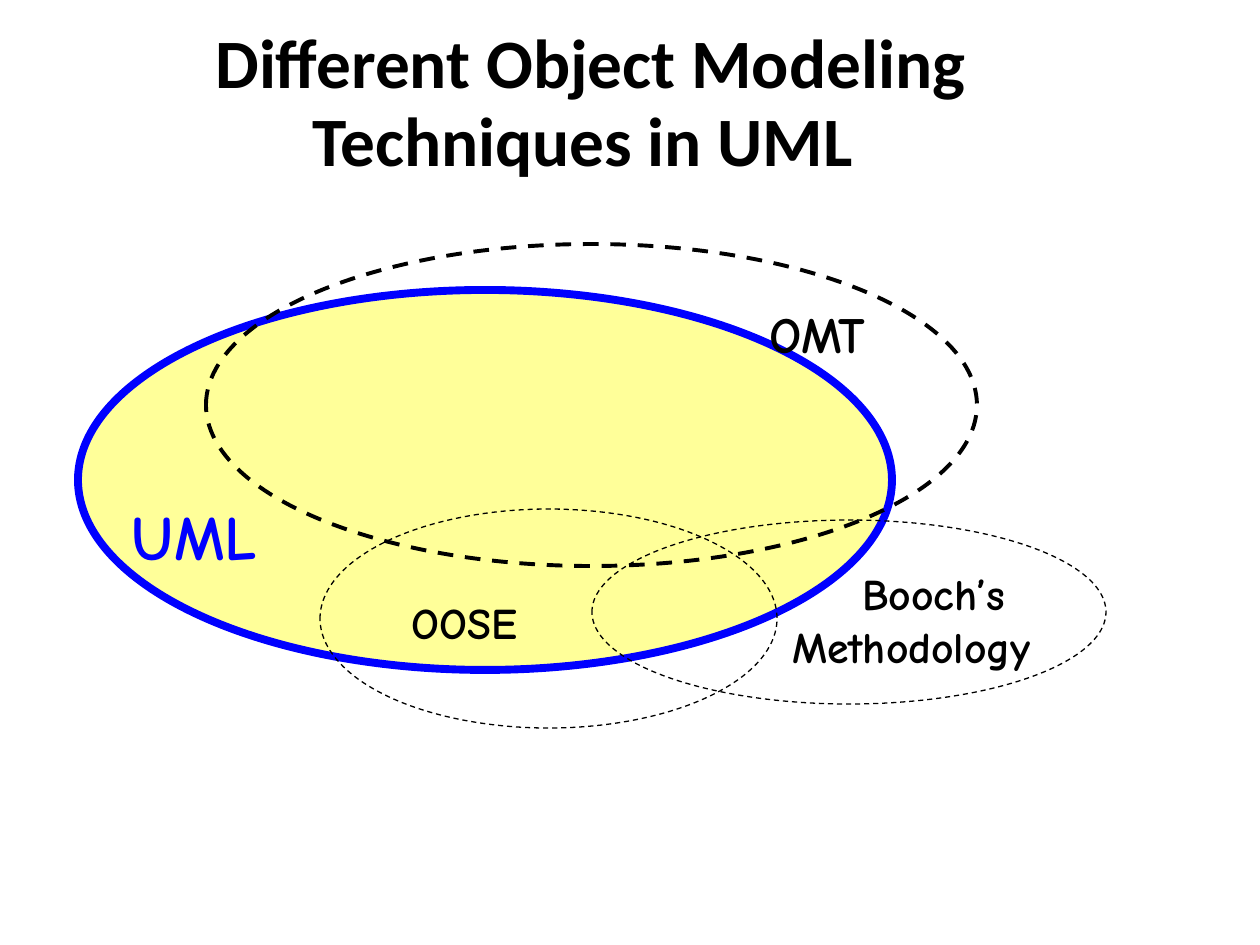
from pptx import Presentation
from pptx.dml.color import RGBColor
from pptx.enum.dml import MSO_LINE
from pptx.enum.shapes import MSO_SHAPE
from pptx.enum.text import MSO_ANCHOR, PP_ALIGN
from pptx.util import Emu, Pt

OVAL = MSO_SHAPE.OVAL
DASH = MSO_LINE.DASH
MIDDLE, TOP = MSO_ANCHOR.MIDDLE, MSO_ANCHOR.TOP
CENTER, LEFT = PP_ALIGN.CENTER, PP_ALIGN.LEFT
PX = 914400 / 126

COLORS = {"ink": "000000", "blue": "0000FF", "cream": "FFFF99"}
HEAD, HAND = "Calibri", "Comic Neue"

# Content: box in px as left, top, width, height
TITLE = ("Different Object Modeling Techniques in UML ", (55, 19, 1071, 170))

# box, fill, line color, line width in pt, dash
OVALS = [
    ((78, 290, 814, 380), "cream", "blue", 4.5, None),
    ((206, 244, 771, 322), None, "ink", 2.25, DASH),
    ((592, 520, 514, 184), None, "ink", 0.75, DASH),
    ((320, 509, 457, 219), None, "ink", 0.75, DASH),
]

# lines as (text, indent in px), box, size in pt, color, margins in px, wrap
LABELS = [
    ([("UML", 0)], (118, 490, 166, 91), 36, "blue", (14, 8), False),
    ([("Booch’s", 70), ("Methodology", 0)], (792, 567, 372, 106), 25, "ink",
     (0, 0), True),
    ([("OOSE", 0)], (398, 588, 158, 67), 25, "ink", (14, 8), False),
    ([("OMT", 0)], (756, 295, 150, 76), 29, "ink", (14, 8), False),
]


def px(n):
    return Emu(round(n * PX))


def rgb(name):
    return RGBColor.from_string(COLORS[name])


def add_oval(slide, box, fill, color, width, dash):
    oval = slide.shapes.add_shape(OVAL, *map(px, box))
    oval.shadow.inherit = False
    if fill:
        oval.fill.solid()
        oval.fill.fore_color.rgb = rgb(fill)
    else:
        oval.fill.background()
    oval.line.color.rgb = rgb(color)
    oval.line.width = Pt(width)
    if dash:
        oval.line.dash_style = dash


def add_text(slide, lines, box, size, color, pad, wrap,
             font=HAND, align=LEFT, anchor=TOP):
    frame = slide.shapes.add_textbox(*map(px, box)).text_frame
    frame.word_wrap = wrap
    frame.vertical_anchor = anchor
    frame.margin_left = frame.margin_right = px(pad[0])
    frame.margin_top = frame.margin_bottom = px(pad[1])
    for i, (text, indent) in enumerate(lines):
        para = frame.add_paragraph() if i else frame.paragraphs[0]
        para.alignment = align
        if indent:
            para._p.get_or_add_pPr().set("marL", str(px(indent)))
        run = para.add_run()
        run.text = text
        run.font.name = font
        run.font.size = Pt(size)
        run.font.bold = True
        run.font.color.rgb = rgb(color)
    return frame


def main():
    deck = Presentation()
    deck.slide_width, deck.slide_height = px(1260), px(945)
    slide = deck.slides.add_slide(deck.slide_layouts[6])

    # Title
    text, box = TITLE
    frame = add_text(slide, [(text, 0)], box, 39.6, "ink", (3, 6), True,
                     HEAD, CENTER, MIDDLE)
    frame.paragraphs[0].line_spacing = 0.94
    frame.paragraphs[0].space_before = Pt(12.3)

    # Overlapping methods
    for oval in OVALS:
        add_oval(slide, *oval)
    for label in LABELS:
        add_text(slide, *label)

    deck.save("out.pptx")


if __name__ == "__main__":
    main()
